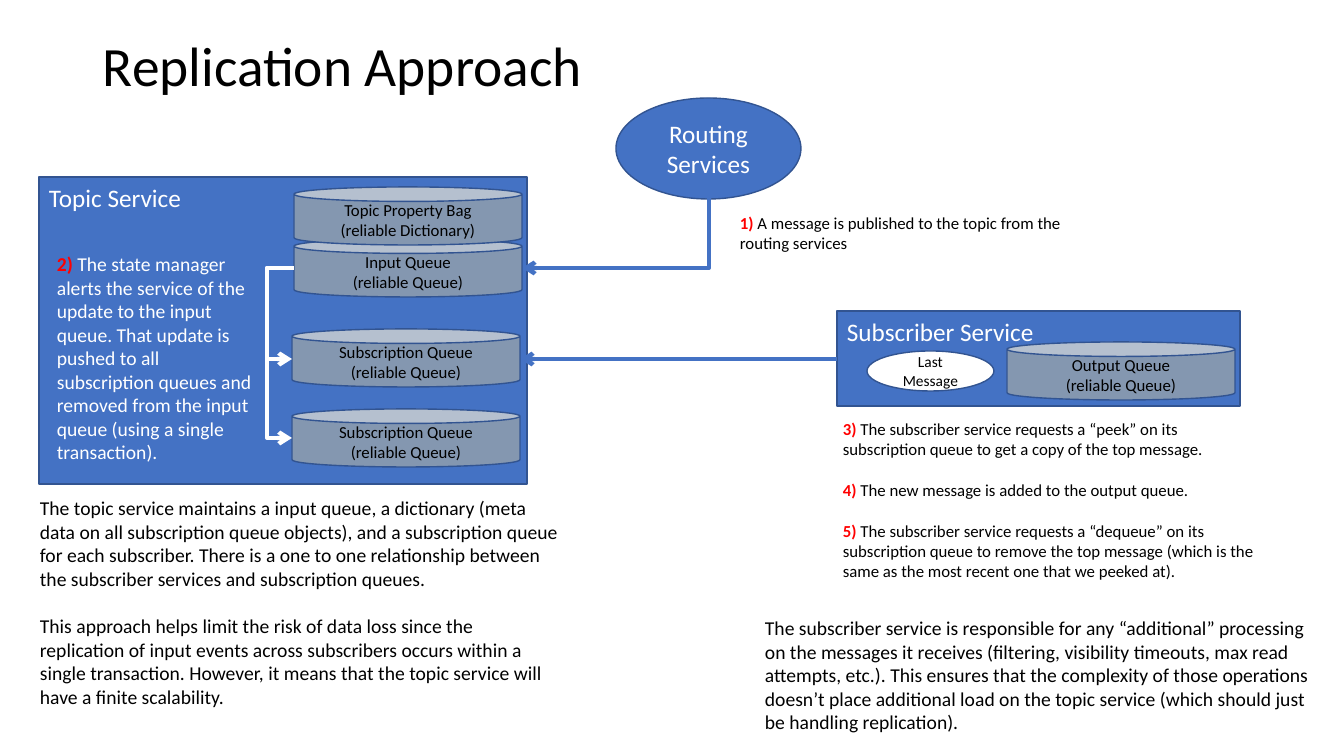
import pptx
import pptx.util
import pptx.dml.color
import pptx.enum.shapes
import pptx.enum.text
import pptx.oxml.ns
import lxml.etree

SHAPE = pptx.enum.shapes.MSO_SHAPE
ANCHOR = pptx.enum.text.MSO_ANCHOR
ALIGN = pptx.enum.text.PP_ALIGN
CONNECTOR = pptx.enum.shapes.MSO_CONNECTOR

THEME = {
    "font": "Calibri",
    "blue": "4472C4", "outline": "325491", "steel": "8497B0",
    "white": "FFFFFF", "black": "000000", "red": "FF0000",
    "title": 39.6, "heading": 18, "body": 14, "label": 12, "small": 11,
    "outline_width": 1, "flow_width": 3, "line_height": 1.22,
}

TITLE = ("Replication Approach", (93, 40, 1159, 58))

ROUTING = ("Routing Services", (616, 98, 185, 101))
LAST_MESSAGE = ("Last Message", (867, 351, 127, 40))
SERVICES = [
    ("Subscriber Service", (837, 311, 403, 95)),
    ("Topic Service", (39, 177, 488, 307)),
]

STORE_SIZE = (228, 58)
STORES = [
    ("Output Queue", "Queue", (1007, 342)),
    ("Input Queue", "Queue", (294, 239)),
    ("Topic Property Bag", "Dictionary", (294, 187)),
    ("Subscription Queue", "Queue", (292, 329)),
    ("Subscription Queue", "Queue", (292, 409)),
]

NOTES = [
    ((730, 208, 341, 50), "label", "black", [
        ("1)", "A message is published to the topic from the routing services")]),
    ((47, 247, 217, 224), "body", "white", [
        ("2)", "The state manager alerts the service of the update to the input queue. "
               "That update is pushed to all subscription queues and removed from the "
               "input queue (using a single transaction).")]),
    ((833, 414, 432, 173), "label", "black", [
        ("3)", "The subscriber service requests a “peek” on its subscription queue "
               "to get a copy of the top message."),
        ("4)", "The new message is added to the output queue."),
        ("5)", "The subscriber service requests a “dequeue” on its subscription queue "
               "to remove the top message (which is the same as the most recent one "
               "that we peeked at).")]),
    ((30, 491, 542, 224), "body", "black", [
        ("", "The topic service maintains a input queue, a dictionary (meta data on all "
             "subscription queue objects), and a subscription queue for each subscriber. "
             "There is a one to one relationship between the subscriber services and "
             "subscription queues."),
        ("", "This approach helps limit the risk of data loss since the replication of "
             "input events across subscribers occurs within a single transaction. However, "
             "it means that the topic service will have a finite scalability.")]),
    ((755, 611, 570, 129), "body", "black", [
        ("", "The subscriber service is responsible for any “additional” processing on the "
             "messages it receives (filtering, visibility timeouts, max read attempts, "
             "etc.). This ensures that the complexity of those operations doesn’t place "
             "additional load on the topic service (which should just be handling "
             "replication).")]),
]

PUBLISH = ((709, 198), (522, 268))
PEEK = ((837, 359), (520, 359))
FANOUT_START = (294, 268)
FANOUT_ENDS = [(292, 359), (292, 438)]
FANOUT_TRUNK = 267


def px(length):
    return pptx.util.Emu(round(length * 914400 / 100.8))


def color(name):
    return pptx.dml.color.RGBColor.from_string(THEME[name])


def style(run, size, ink, bold=False):
    run.font.name = THEME["font"]
    run.font.size = pptx.util.Pt(THEME[size])
    run.font.color.rgb = color(ink)
    run.font.bold = bold


def add_block(kind, box, fill, text, size, ink, centred=True):
    block = slide.shapes.add_shape(kind, *map(px, box))
    block.shadow.inherit = False
    block.fill.solid()
    block.fill.fore_color.rgb = color(fill)
    block.line.color.rgb = color("outline")
    block.line.width = pptx.util.Pt(THEME["outline_width"])
    frame = block.text_frame
    frame.word_wrap = True
    frame.text = text
    frame.vertical_anchor = ANCHOR.MIDDLE if centred else ANCHOR.TOP
    for paragraph in frame.paragraphs:
        paragraph.alignment = ALIGN.CENTER if centred else ALIGN.LEFT
        style(paragraph.runs[0], size, ink)


def add_text(box):
    frame = slide.shapes.add_textbox(*map(px, box)).text_frame
    frame.word_wrap = True
    return frame


def add_note(box, size, ink, items):
    frame = add_text(box)
    for index, (number, sentence) in enumerate(items):
        paragraph = frame.add_paragraph() if index else frame.paragraphs[0]
        if index:
            paragraph.space_before = pptx.util.Pt(THEME[size] * THEME["line_height"])
        paragraph.text = number + " " if number else sentence
        if number:
            style(paragraph.runs[0], size, "red", True)
            paragraph.add_run().text = sentence
        style(paragraph.runs[-1], size, ink)


def add_flow(kind, start, end, ink):
    flow = slide.shapes.add_connector(kind, *map(px, start + end))
    flow.line.color.rgb = color(ink)
    flow.line.width = pptx.util.Pt(THEME["flow_width"])
    qn = pptx.oxml.ns.qn
    lxml.etree.SubElement(flow.line._get_or_add_ln(), qn("a:tailEnd"), type="arrow")
    properties = flow._element.spPr
    lxml.etree.SubElement(properties, qn("a:effectLst"))
    return properties


def add_corner_flow(start, end, ink):
    middle_x, middle_y = ((a + b) / 2 for a, b in zip(start, end))
    half_width, half_height = (abs(a - b) / 2 for a, b in zip(start, end))
    properties = add_flow(CONNECTOR.ELBOW,
                          (middle_x - half_height, middle_y - half_width),
                          (middle_x + half_height, middle_y + half_width), ink)
    properties.find(pptx.oxml.ns.qn("a:xfrm")).set("rot", "5400000")
    properties.find(pptx.oxml.ns.qn("a:prstGeom")).set("prst", "bentConnector2")


def add_trunk_flow(start, end, trunk, ink):
    properties = add_flow(CONNECTOR.ELBOW, start, end, ink)
    bend = round((start[0] - trunk) / (start[0] - end[0]) * 100000)
    guides = properties.find(".//" + pptx.oxml.ns.qn("a:avLst"))
    lxml.etree.SubElement(guides, pptx.oxml.ns.qn("a:gd"), name="adj1", fmla=f"val {bend}")


deck = pptx.Presentation()
deck.slide_width, deck.slide_height = px(1344), px(756)
slide = deck.slides.add_slide(deck.slide_layouts[6])

heading = add_text(TITLE[1])
heading.text = TITLE[0]
heading.vertical_anchor = ANCHOR.MIDDLE
heading.paragraphs[0].line_spacing = 0.9
style(heading.paragraphs[0].runs[0], "title", "black")

add_block(SHAPE.OVAL, ROUTING[1], "blue", ROUTING[0], "heading", "white")
for service, box in SERVICES:
    add_block(SHAPE.RECTANGLE, box, "blue", service, "heading", "white", centred=False)
add_corner_flow(*PUBLISH, "blue")
add_flow(CONNECTOR.STRAIGHT, *PEEK, "blue")
for store, structure, corner in STORES:
    add_block(SHAPE.CAN, corner + STORE_SIZE, "steel",
              f"{store}\n(reliable {structure})", "label", "black")
add_block(SHAPE.OVAL, LAST_MESSAGE[1], "white", LAST_MESSAGE[0], "small", "black")
for queue in FANOUT_ENDS:
    add_trunk_flow(FANOUT_START, queue, FANOUT_TRUNK, "white")
for note in NOTES:
    add_note(*note)

deck.save("out.pptx")
